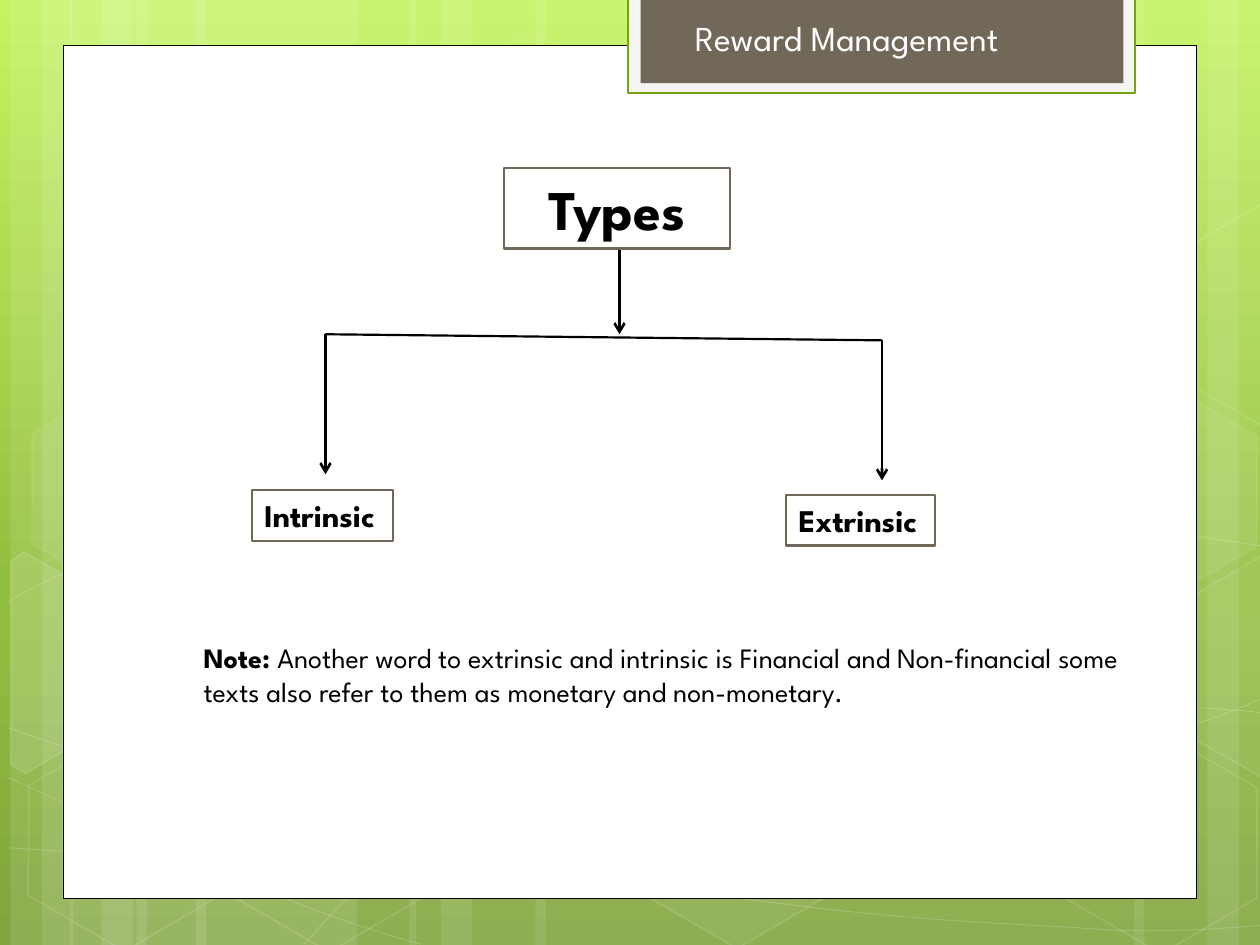
from copy import deepcopy

from lxml.etree import SubElement
from pptx import Presentation
from pptx.dml.color import RGBColor
from pptx.enum.shapes import MSO_CONNECTOR, MSO_SHAPE
from pptx.enum.text import MSO_ANCHOR, PP_ALIGN
from pptx.oxml.ns import qn
from pptx.util import Pt

FONT = "League Spartan"
WHITE, BLACK, BROWN = "FFFFFF", "000000", "71685A"


def color(fill, value, opacity=100):
    """Make a shape, line or font fill solid; opacity is in percent."""
    fill.solid()
    fill.fore_color.rgb = RGBColor.from_string(value)
    if opacity < 100:
        solid = fill.fore_color._color._xClr
        SubElement(solid, qn("a:alpha")).set("val", str(opacity * 1000))


def dress(shape, fill=None, line=None, width=1, opacity=100, line_opacity=100):
    """Set fill and outline, where None means there is none, and drop the shadow."""
    shape.shadow.inherit = False
    if fill:
        color(shape.fill, fill, opacity)
    else:
        shape.fill.background()
    if line:
        color(shape.line.fill, line, line_opacity)
        shape.line.width = Pt(width)
    else:
        shape.line.fill.background()


deck = Presentation()
deck.slide_width, deck.slide_height = Pt(720), Pt(540)
page = deck.slides.add_slide(deck.slide_layouts[6])
shapes = page.shapes

# Green gradient background
background = page.background.fill
background.gradient()
background.gradient_angle = 270
stop_list = page._element.find(".//" + qn("a:gsLst"))
stop_list.insert(1, deepcopy(stop_list[0]))
for stop, (position, value) in zip(
        background.gradient_stops,
        [(0, "C3F35F"), (0.62, "93BF3F"), (1, "81A53E")]):
    stop.position = position
    stop.color.rgb = RGBColor.from_string(value)

# Translucent vertical stripes: left, width
stripes = [(78, 126), (6, 36), (24, 60), (112, 126), (40, 36), (58, 60),
           (528, 126), (690, 36), (648, 60), (306, 222), (234, 36), (252, 60)]
for left, width in stripes:
    stripe = shapes.add_shape(MSO_SHAPE.RECTANGLE, Pt(left), 0, Pt(width), Pt(540))
    dress(stripe, WHITE, opacity=10)

# Thin curves: start point, then cubic segments of two controls and an end
curves = [
    ((5, 484.5), [(44, 487, 83, 489, 137, 488), (191, 487.5, 258, 486, 330, 479),
                  (402, 472, 504, 458, 570, 444), (636, 430.5, 703.5, 409, 725, 397)]),
    ((5, 343.5), [(26, 332, 47, 321, 87, 310), (128, 299.5, 186.5, 283.5, 250, 278.5),
                  (314, 273.5, 391.5, 273, 471, 278.5),
                  (550, 284.5, 682, 306.5, 725, 312.5)]),
    ((4, 444), [(91.5, 484, 178, 523.5, 240.5, 539.5)]),
    ((5, 416), [(27.5, 424, 50.5, 432, 92, 443.5), (134, 454, 196.5, 472.5, 257, 484.5),
                (317, 497, 392.5, 510, 452, 517), (512, 525, 576, 528, 614, 530),
                (651.5, 533, 661.5, 531.5, 680.5, 531.5),
                (699, 530.5, 712, 529.5, 725, 528.5)]),
    ((174, 539.5), [(187, 525, 200, 510.5, 217.5, 497.5),
                    (234.5, 484.5, 259, 470, 279.5, 460),
                    (299.5, 450, 312, 445.5, 338.5, 438.5),
                    (364, 431.5, 412.5, 421, 438, 416),
                    (463.5, 411, 467.5, 411, 489.5, 409.5),
                    (512, 407.5, 547, 405.5, 571.5, 404.5),
                    (597, 404, 638, 404.5, 638, 404.5),
                    (638, 404.5, 686, 404.5, 686, 404.5),
                    (699, 405.5, 711.5, 406, 718, 407),
                    (724, 407.5, 722, 407, 724.5, 407.5)]),
]
for start, segments in curves:
    builder = shapes.build_freeform(Pt(start[0]), Pt(start[1]))
    for x1, y1, x2, y2, x3, y3 in segments:
        builder.add_line_segments(
            [(Pt(x1), Pt(y1)), (Pt(x2), Pt(y2)), (Pt(x3), Pt(y3))], close=False)
    curve = builder.convert_to_shape()
    # Turn every three straight steps into one cubic segment
    outline = curve._element.find(".//" + qn("a:path"))
    steps = outline.findall(qn("a:lnTo"))
    for index in range(0, len(steps), 3):
        cubic = SubElement(outline, qn("a:cubicBezTo"))
        for step in steps[index:index + 3]:
            cubic.append(step[0])
            outline.remove(step)
    dress(curve, line=WHITE, width=0.5, line_opacity=20)

# Hexagons: left, top, fill opacity, line opacity
hexagons = [(240.5, 26, 4, 8), (358, 424, 6, 12), (8, 425.5, 0, 12),
            (10, 224.5, 7, 8), (125, 426, 0, 12), (542, 326, 10, 12),
            (600.5, 427, 0, 12), (600.5, 226, 7, 8)]
for left, top, opacity, line_opacity in hexagons:
    hexagon = shapes.add_shape(MSO_SHAPE.HEXAGON, Pt(left), Pt(top), Pt(126), Pt(109.5))
    hexagon.adjustments[0] = 0.285
    hexagon.rotation = 30
    dress(hexagon, WHITE if opacity else None, WHITE, 1, opacity, line_opacity)

# Hexagons cut off by the page edge: fill opacity, shift down, corners before rotation
left_cut = [(-23.5, 339), (-19.5, 331), (44, 330.5), (75.5, 386), (44.5, 440),
            (34.5, 440)]
right_cut = [(659.5, 374), (690.5, 319.5), (697.5, 319.5), (757.5, 424),
             (754.5, 428.5), (691.5, 429)]
for opacity, shift, corners in [(10, 0, left_cut), (4, 0, right_cut), (0, -201, right_cut)]:
    first, *rest = [(Pt(x), Pt(y + shift)) for x, y in corners]
    builder = shapes.build_freeform(*first)
    builder.add_line_segments(rest, close=True)
    cut_hexagon = builder.convert_to_shape()
    cut_hexagon.rotation = 30
    dress(cut_hexagon, WHITE if opacity else None, WHITE, 1, opacity, 12)

# White panel and title tab: left, top, width, height, fill, line, line width
panels = [(36, 26, 648, 487.25, WHITE, BLACK, 0.5),
          (359, -1.5, 289.75, 54.5, "F5F5F5", "74A510", 1.25),
          (366, -1.5, 276, 49, BROWN, None, 0)]
for left, top, width, height, fill, line, line_width in panels:
    panel = shapes.add_shape(MSO_SHAPE.RECTANGLE, Pt(left), Pt(top), Pt(width), Pt(height))
    dress(panel, fill, line, line_width)

# Tree branches: from, to, width, arrow at the end
branches = [(504, 194.5, 504, 274.5, 1.5, True), (186, 191, 186, 271, 1.5, True),
            (186, 191, 504, 194.5, 1.25, False), (354, 142, 354, 191, 1.5, True)]
for x1, y1, x2, y2, width, has_arrow in branches:
    branch = shapes.add_connector(MSO_CONNECTOR.STRAIGHT, Pt(x1), Pt(y1), Pt(x2), Pt(y2))
    color(branch.line.fill, BLACK)
    branch.line.width = Pt(width)
    if has_arrow:
        SubElement(branch.line._get_or_add_ln(), qn("a:tailEnd")).set("type", "arrow")
    SubElement(branch._element.spPr, qn("a:effectLst"))

# Texts: left, top, width, height, framed, wraps, alignment, size, colour, (text, bold) runs
LEFT, CENTER = PP_ALIGN.LEFT, PP_ALIGN.CENTER
note = ("Another word to extrinsic and intrinsic is Financial and Non-financial some "
        "texts also refer to them as monetary and non-monetary.")
texts = [
    (390, 6, 258, 31.5, False, True, LEFT, 20, WHITE, [("Reward Management", False)]),
    (288, 96, 129.25, 46, True, True, CENTER, 32, BLACK, [("Types", True)]),
    (144, 280, 80.75, 29, True, False, LEFT, 18, BLACK, [("Intrinsic", True)]),
    (449.25, 282.75, 85, 29, True, False, LEFT, 18, BLACK, [("Extrinsic", True)]),
    (109.25, 362.5, 561, 65.5, False, True, LEFT, 16, BLACK,
     [("Note: ", True), (note, False)]),
]
for left, top, width, height, framed, wraps, alignment, size, ink, runs in texts:
    place = Pt(left), Pt(top), Pt(width), Pt(height)
    if framed:
        box = shapes.add_shape(MSO_SHAPE.RECTANGLE, *place)
        dress(box, WHITE, BROWN, 1.25)
    else:
        box = shapes.add_textbox(*place)
    frame = box.text_frame
    frame.word_wrap = wraps
    frame.vertical_anchor = MSO_ANCHOR.TOP
    para = frame.paragraphs[0]
    para.alignment = alignment
    para.font.name, para.font.size = FONT, Pt(size)
    color(para.font.fill, ink)
    for text, bold in runs:
        span = para.add_run()
        span.text = text
        span.font.bold = bold

deck.save("out.pptx")
